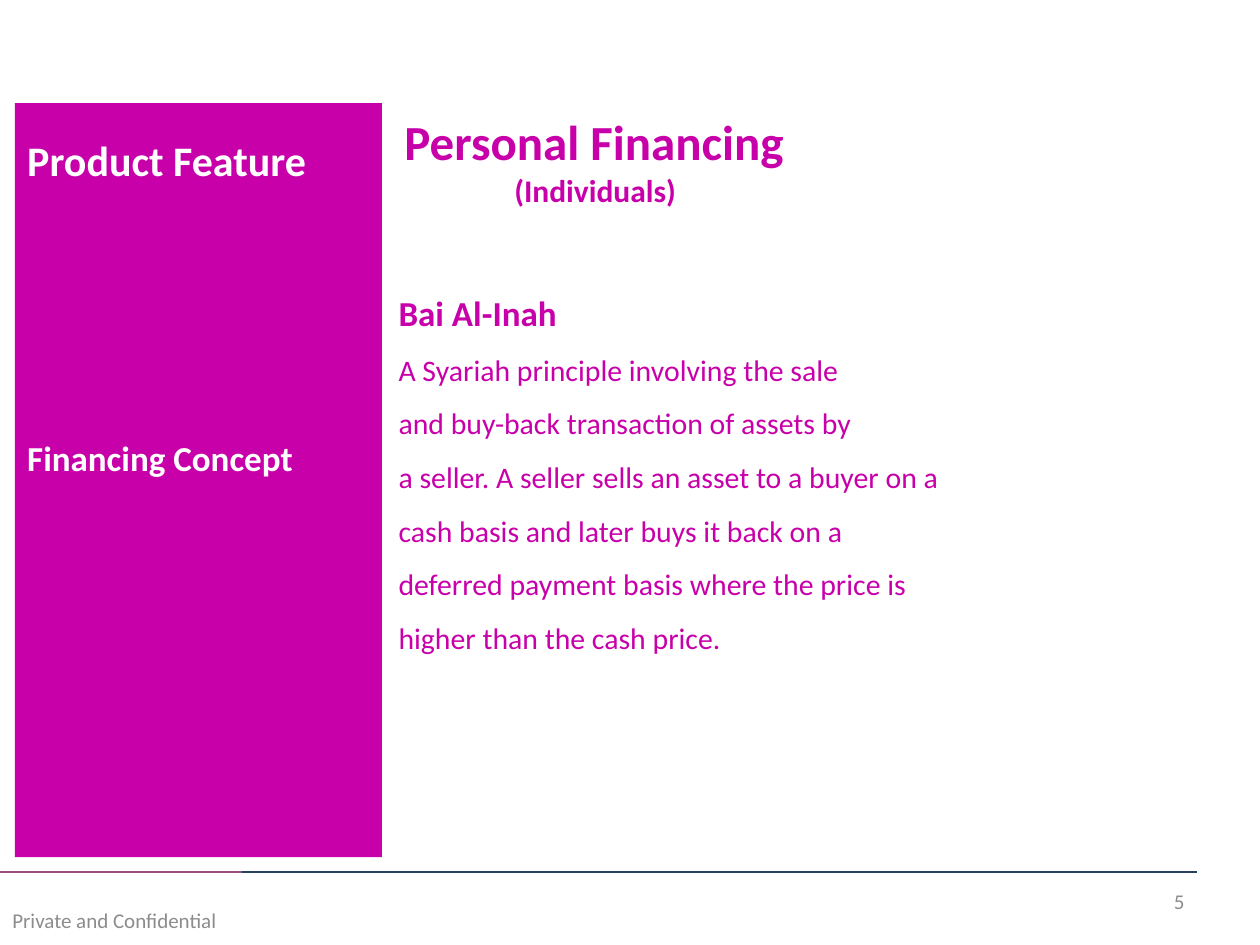
from pptx import Presentation
from pptx.dml.color import RGBColor
from pptx.enum.shapes import MSO_CONNECTOR as CONN, MSO_SHAPE as SHAPE
from pptx.enum.text import MSO_ANCHOR as ANCHOR, MSO_AUTO_SIZE as AUTO, PP_ALIGN as ALIGN
from pptx.oxml.ns import qn
from pptx.util import Cm, Pt

MAGENTA = RGBColor(0xC8, 0x00, 0xAA)
WHITE = RGBColor(0xFF, 0xFF, 0xFF)
GREY = RGBColor(0x8C, 0x8C, 0x8C)
PLUM = RGBColor(0x9D, 0x4D, 0x7D)
NAVY = RGBColor(0x25, 0x40, 0x61)

CONCEPT = [
    "A Syariah principle involving the sale",
    "and buy-back transaction of assets by",
    "a seller. A seller sells an asset to a buyer on a",
    "cash basis and later buys it back on a",
    "deferred payment basis where the price is",
    "higher than the cash price.",
]


def place(sp, box):
    for name, value in zip(("left", "top", "width", "height"), box):
        setattr(sp, name, Cm(value))


def write(sp, lines, color, anchor=ANCHOR.TOP, spacing=1.0):
    """Fill sp with lines of (text, size, bold, alignment, space before)."""
    tf = sp.text_frame
    frame = {"word_wrap": True, "auto_size": AUTO.NONE, "vertical_anchor": anchor}
    for name, value in frame.items():
        setattr(tf, name, value)
    for i, (text, size, bold, align, before) in enumerate(lines):
        p = tf.add_paragraph() if i else tf.paragraphs[0]
        pPr = p._p.get_or_add_pPr()
        pPr.set("marL", "0")
        pPr.set("indent", "0")
        pPr.append(pPr.makeelement(qn("a:buNone"), {}))
        layout = {"alignment": align, "line_spacing": spacing,
                  "space_before": Pt(before), "space_after": Pt(0)}
        for name, value in layout.items():
            setattr(p, name, value)
        r = p.add_run()
        r.text = text
        for name, value in {"name": "Calibri", "size": Pt(size), "bold": bold}.items():
            setattr(r.font, name, value)
        r.font.color.rgb = color


def add_panel(s, box):
    sp = s.shapes.add_shape(SHAPE.RECTANGLE, *map(Cm, box))
    sp.shadow.inherit = False
    sp.fill.solid()
    sp.fill.fore_color.rgb = MAGENTA
    sp.line.fill.background()
    write(sp, [("Product Feature", 24, True, ALIGN.LEFT, 0),
               ("Financing Concept", 20, True, ALIGN.LEFT, 132)], WHITE, spacing=1.5)


def add_heading(s, box):
    sp = s.shapes.title
    place(sp, box)
    write(sp, [("Personal Financing", 28, True, ALIGN.LEFT, 0),
               ("(Individuals)", 18, True, ALIGN.CENTER, 0)], MAGENTA)


def add_concept(s, box):
    sp = s.placeholders[1]
    place(sp, box)
    lines = [("Bai Al-Inah", 20, True, ALIGN.LEFT, 0)]
    lines += [(text, 17, False, ALIGN.LEFT, 0) for text in CONCEPT]
    write(sp, lines, MAGENTA, spacing=1.5)


def add_footer(s, box):
    """Two-colour rule along the top of the box, with note and page number below."""
    left, top, width, height = box
    right = left + width
    rule = s.shapes.add_group_shape()
    for x1, x2, color in ((left, right - 0.43, PLUM), (left + 4.88, right, NAVY)):
        line = rule.shapes.add_connector(CONN.STRAIGHT, Cm(x1), Cm(top), Cm(x2), Cm(top))
        line.line.color.rgb = color
        line.line.width = Pt(1.25)
        spPr = line._element.spPr
        spPr.append(spPr.makeelement(qn("a:effectLst"), {}))

    label_h = 1.02
    note = (left, top + height - label_h, 23.06, label_h)
    number = (right - 5.92, top + 0.08, 5.92, label_h)
    for area, text, align in ((note, "Private and Confidential", ALIGN.LEFT),
                              (number, "5", ALIGN.RIGHT)):
        sp = s.shapes.add_textbox(*map(Cm, area))
        write(sp, [(text, 12, False, align, 0)], GREY, ANCHOR.MIDDLE)


def main():
    prs = Presentation()
    prs.slide_width, prs.slide_height = Cm(25.4), Cm(19.05)
    s = prs.slides.add_slide(prs.slide_layouts[1])
    add_footer(s, (0, 17.58, 24.13, 1.47))
    add_panel(s, (0.3, 2.08, 7.4, 15.2))
    add_concept(s, (7.78, 5.33, 12.13, 8.08))
    add_heading(s, (7.9, 2.13, 8.2, 2.24))
    prs.save("out.pptx")


if __name__ == "__main__":
    main()
